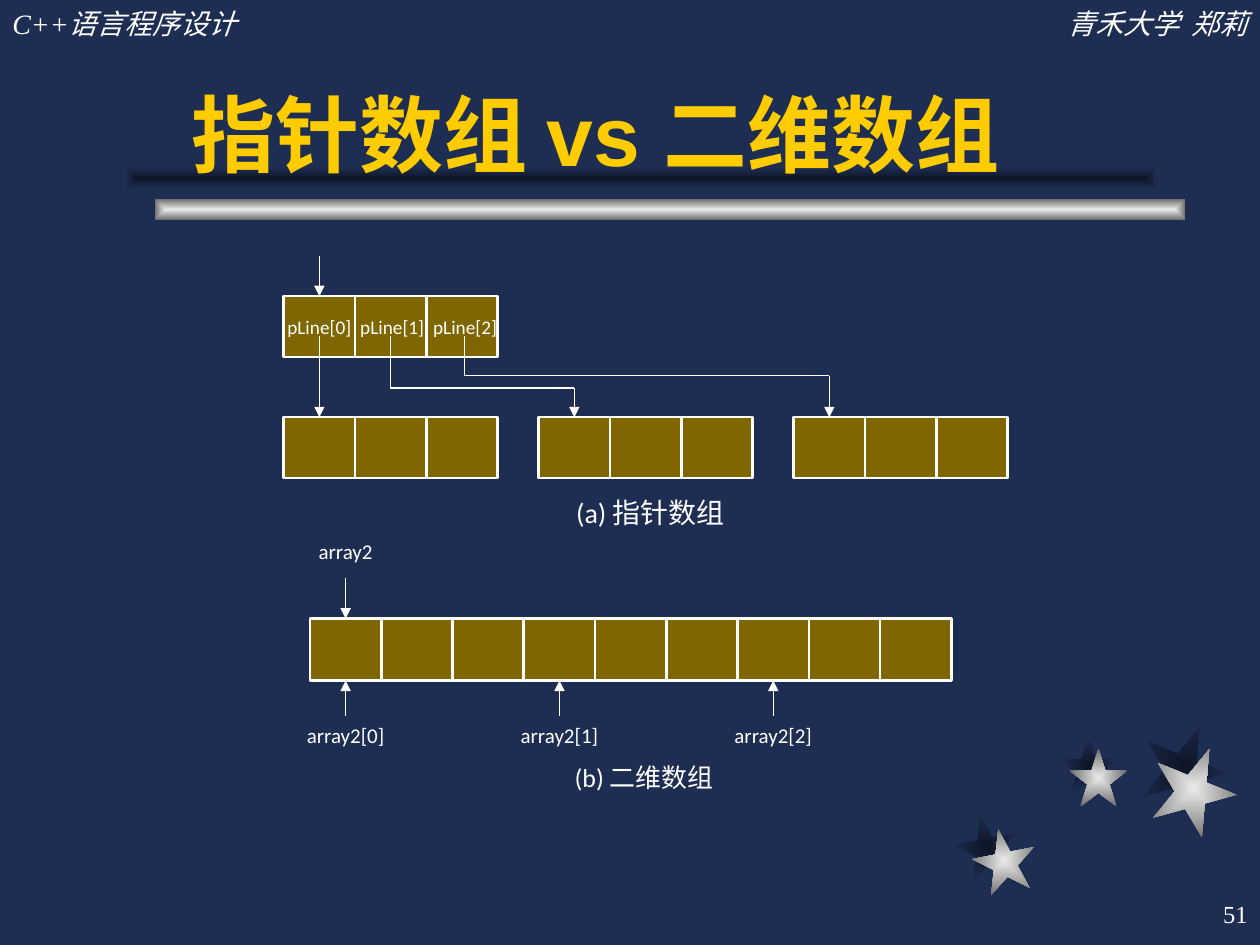
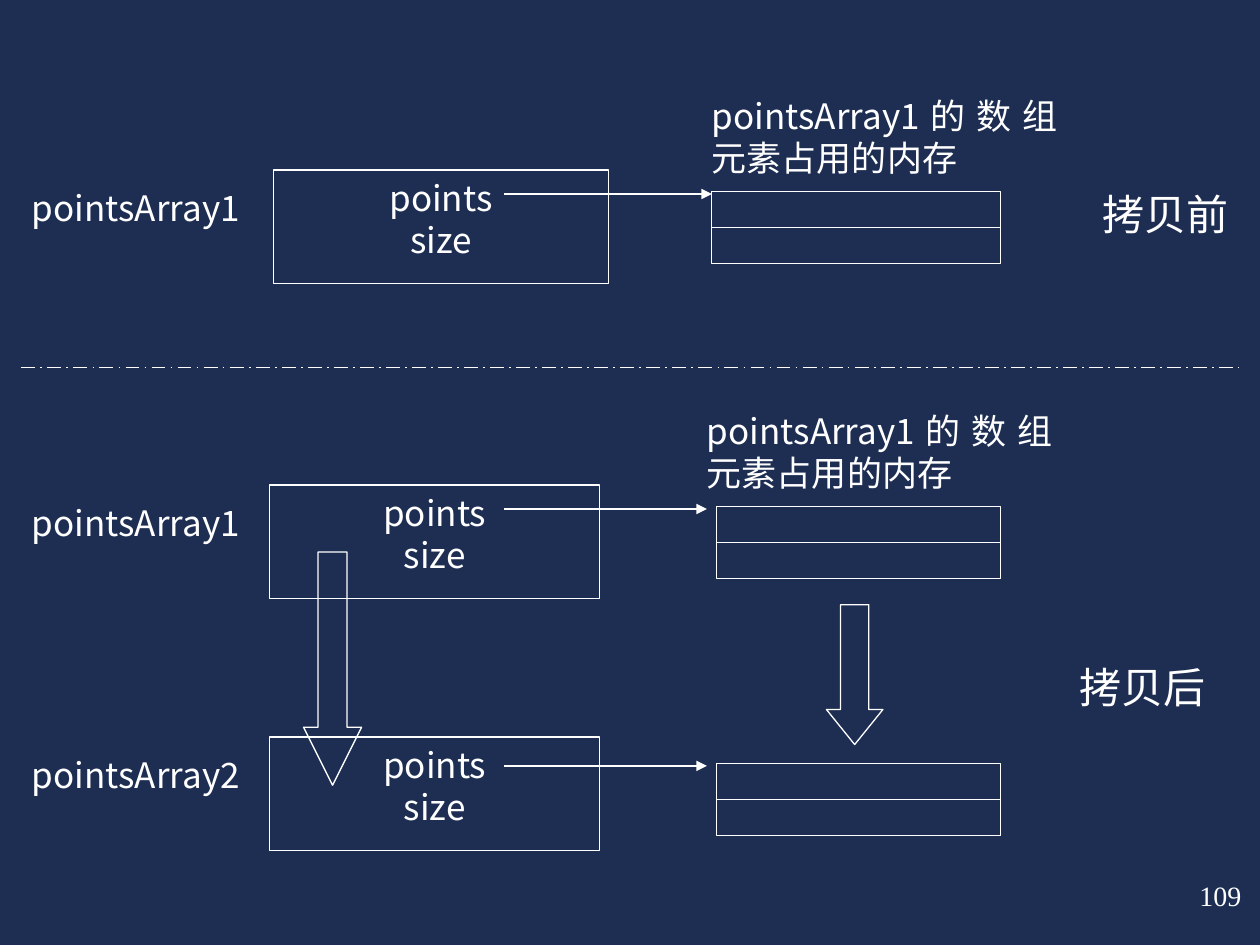
import collections
import lxml.etree
import pptx
import pptx.dml.color
import pptx.enum.dml
import pptx.enum.shapes
import pptx.enum.text
import pptx.oxml.ns
import pptx.util

Cm = pptx.util.Cm
qn = pptx.oxml.ns.qn
SHAPE = pptx.enum.shapes.MSO_SHAPE
ALIGN = pptx.enum.text.PP_ALIGN
ANCHOR = pptx.enum.text.MSO_ANCHOR
Box = collections.namedtuple("Box", "left top width height")

COLORS = {
    "background": "1E2E53",
    "shade": "0E1526",
    "silver": "EAEAEA",
    "steel": "6C6C6C",
    "title": "FFCC00",
    "white": "FFFFFF",
    "cell": "7F6600",
}
SERIF, SANS, LABEL, CHINESE = "Times New Roman", "Arial", "Calibri", "Noto Sans CJK SC"
SHADOW_GRADIENT = ("shade", "background")
METAL_GRADIENT = ("silver", "steel")
PADDING = (0.25, 0.13)


def color(name):
    return pptx.dml.color.RGBColor.from_string(COLORS[name])


def lengths(box):
    return [Cm(value) for value in box]


def write_text(shape, text, size=16, font=LABEL, ink="white", bold=False, italic=False,
               align=ALIGN.CENTER, anchor=ANCHOR.TOP, padding=PADDING, spacing=None):
    frame = shape.text_frame
    frame.word_wrap = True
    frame.vertical_anchor = anchor
    frame.margin_left = frame.margin_right = Cm(padding[0])
    frame.margin_top = frame.margin_bottom = Cm(padding[1])
    for index, line in enumerate(text.split("\n")):
        para = frame.paragraphs[0] if index == 0 else frame.add_paragraph()
        para.alignment = align
        para.line_spacing = spacing
        span = para.add_run()
        span.text = line
        span.font.size = pptx.util.Pt(size)
        span.font.name = font
        span.font.bold = bold
        span.font.italic = italic
        span.font.color.rgb = color(ink)
        east_asian = lxml.etree.SubElement(span.font._element, qn("a:ea"))
        east_asian.set("typeface", CHINESE)


def add_text(page, box, text, **style):
    write_text(page.shapes.add_textbox(*lengths(box)), text, **style)


def add_label(page, center, top, width, text, **style):
    add_text(page, Box(center - width / 2, top, width, 0.94), text, **style)


def add_shape(page, kind, box, fill=None, line=None):
    shape = page.shapes.add_shape(kind, *lengths(box))
    shape.shadow.inherit = False
    if fill:
        shape.fill.solid()
        shape.fill.fore_color.rgb = color(fill)
    else:
        shape.fill.background()
    if line:
        shape.line.color.rgb = color("white")
        shape.line.width = pptx.util.Pt(line)
    else:
        shape.line.fill.background()
    return shape


def add_glow(page, kind, box, gradient, rotation=0):
    shape = add_shape(page, kind, box)
    shape.rotation = rotation
    shape.fill.gradient()
    for stop, name in zip(shape.fill.gradient_stops, gradient):
        stop.color.rgb = color(name)
    fill = shape._element.spPr.find(qn("a:gradFill"))
    fill.remove(fill.find(qn("a:lin")))
    spread = lxml.etree.SubElement(fill, qn("a:path"))
    spread.set("path", "rect")
    center = lxml.etree.SubElement(spread, qn("a:fillToRect"))
    for side in "ltrb":
        center.set(side, "50000")


def add_line(page, start, end, arrow=False, width=0.75, dash=None):
    line = page.shapes.add_connector(
        pptx.enum.shapes.MSO_CONNECTOR.STRAIGHT, *lengths(start + end))
    line.line.color.rgb = color("white")
    line.line.width = pptx.util.Pt(width)
    if dash:
        line.line.dash_style = dash
    properties = line._element.spPr
    if arrow:
        head = lxml.etree.SubElement(properties.find(qn("a:ln")), qn("a:tailEnd"))
        head.set("type", "triangle")
    lxml.etree.SubElement(properties, qn("a:effectLst"))


def add_route(page, points):
    for index, (start, end) in enumerate(zip(points, points[1:]), 2):
        add_line(page, start, end, arrow=index == len(points))


def add_page(deck):
    page = deck.slides.add_slide(deck.slide_layouts[6])
    page.background.fill.solid()
    page.background.fill.fore_color.rgb = color("background")
    return page


def add_page_number(page, box, number, **style):
    add_text(page, box, number, font=SERIF, **style)


def draw_decoration(page):
    stars = [
        (19.25, 16.43, 1.27, 349, 0.36, 0.28),
        (21.36, 14.86, 1.17, 0, 0.2, 0.23),
        (23.01, 14.61, 1.7, 22, 0.2, 0.43),
    ]
    for gradient, shift in ((SHADOW_GRADIENT, 0), (METAL_GRADIENT, 1)):
        for left, top, size, rotation, right, down in stars:
            box = Box(left + right * shift, top + down * shift, size, size)
            add_glow(page, SHAPE.STAR_5_POINT, box, gradient, rotation)
    add_glow(page, SHAPE.RECTANGLE, Box(3.12, 4.01, 20.78, 0.43), METAL_GRADIENT)
    add_glow(page, SHAPE.RECTANGLE, Box(2.54, 3.38, 20.78, 0.43), SHADOW_GRADIENT)


def draw_header(page, title):
    for left, text, align in ((0, "C++语言程序设计", ALIGN.LEFT),
                              (17.58, "青禾大学  郑莉", ALIGN.RIGHT)):
        add_text(page, Box(left, 0, 7.82, 0.94), text, font=SERIF, italic=True, align=align)
    add_text(page, Box(3.61, 0.64, 19.89, 3.18), title, size=48, font=SANS, ink="title",
             bold=True, align=ALIGN.LEFT, anchor=ANCHOR.BOTTOM)


def draw_cells(page, box, count):
    width = box.width / count
    for index in range(count):
        cell = Box(box.left + index * width, box.top, width, box.height)
        add_shape(page, SHAPE.RECTANGLE, cell, fill="cell", line=1.5)


def draw_pointer_array(page, box):
    row_width, row_height = 4.31, 1.23
    middle = row_width / 6
    row_top, target_top = box.top + 0.81, box.top + 3.25
    draw_cells(page, Box(box.left, row_top, row_width, row_height), 3)
    entry = box.left + middle
    add_line(page, (entry, box.top), (entry, row_top), arrow=True)
    exit_top = box.top + 1.62
    for index, (start, bend) in enumerate(((middle, None), (2.15, 2.66), (3.65, 2.41))):
        target_left = box.left + index * 5.14
        draw_cells(page, Box(target_left, target_top, row_width, row_height), 3)
        start, end = box.left + start, target_left + middle
        points = [(start, exit_top), (end, target_top)]
        if bend:
            points[1:1] = [(start, box.top + bend), (end, box.top + bend)]
        add_route(page, points)
        add_label(page, entry + index * 1.47, box.top + 1.06, 2.13,
                  f"pLine[{index}]", size=11)
    add_label(page, box.left + 7.39, box.top + 4.7, 4.47, "(a) 指针数组")


def draw_matrix(page, box):
    cell_count, row_length = 9, 3
    cell_width = box.width / cell_count
    row_top, row_bottom, label_top = box.top + 1.75, box.top + 3, box.top + 3.71
    draw_cells(page, Box(box.left, row_top, box.width, row_bottom - row_top), cell_count)
    first = box.left + cell_width / 2
    add_label(page, first, box.top, 2.44, "array2", size=12)
    add_line(page, (first, box.top + 0.94), (first, row_top), arrow=True)
    for row in range(cell_count // row_length):
        center = first + row * row_length * cell_width
        add_line(page, (center, label_top), (center, row_bottom), arrow=True)
        add_label(page, center, label_top, 2.44, f"array2[{row}]", size=12)
    add_label(page, box.left + 6.73, box.top + 4.57, 4.47, "(b) 二维数组",
              size=14.8, spacing=0.9)


def draw_points_array(page, box, name, frame, tip, block_width, drop=0.48, caption=None):
    style = {"size": 20, "font": CHINESE}
    add_text(page, Box(box.left, box.top + 0.33, 4.74, 0.9), name,
             align=ALIGN.JUSTIFY, padding=(0, 0), **style)
    frame_left, frame_width = frame
    members = add_shape(page, SHAPE.RECTANGLE,
                        Box(box.left + frame_left, box.top, frame_width, box.height), line=0.75)
    write_text(members, "points\nsize", padding=(0, 0.13), **style)
    right, tip = box.left + box.width, box.left + tip
    block = Box(right - block_width, box.top + drop - 0.05, block_width, 1.45)
    add_shape(page, SHAPE.RECTANGLE, block, line=0.75)
    middle = block.top + block.height / 2
    add_line(page, (block.left, middle), (right, middle))
    add_line(page, (box.left + 9.53, box.top + drop), (tip, box.top + drop), arrow=True)
    if caption:
        add_text(page, Box(tip, box.top - 1.52, 6.97, 1.85), caption,
                 align=ALIGN.JUSTIFY, padding=(0, 0), **style)


def draw_copy_arrow(page, box, head):
    arrow = add_shape(page, SHAPE.DOWN_ARROW, box, line=0.75)
    arrow.adjustments[0] = 0.5
    arrow.adjustments[1] = head


def draw_stage(page, box, text):
    add_text(page, box, text, size=24, font=SERIF, padding=(0.25, 0))


def build_array_comparison(deck):
    page = add_page(deck)
    draw_decoration(page)
    draw_header(page, "指针数组 vs 二维数组")
    add_page_number(page, Box(20.12, 17.78, 5.28, 1.27), "51", size=14,
                    align=ALIGN.RIGHT, anchor=ANCHOR.MIDDLE)
    draw_pointer_array(page, Box(5.72, 5.16, 14.59, 5.64))
    draw_matrix(page, Box(6.25, 10.72, 12.93, 5.51))


def build_deep_copy(deck):
    page = add_page(deck)
    caption = "pointsArray1的数组元素占用的内存"
    before = {"frame": (4.87, 6.76), "tip": 13.71, "block_width": 5.82}
    after = {"frame": (4.8, 6.65), "tip": 13.61, "block_width": 5.72}
    rows = [
        (3.43, "pointsArray1", before, {"caption": caption}),
        (9.78, "pointsArray1", after, {"caption": caption}),
        (14.86, "pointsArray2", after, {"drop": 0.58}),
    ]
    for top, name, layout, extra in rows:
        draw_points_array(page, Box(0.64, top, 19.53, 2.29), name, **layout, **extra)
    draw_copy_arrow(page, Box(16.66, 12.19, 1.14, 2.82), 0.62)
    draw_copy_arrow(page, Box(6.12, 11.13, 1.17, 4.7), 1)
    draw_stage(page, Box(21.59, 3.81, 3.81, 1.02), "拷贝前")
    draw_stage(page, Box(21.16, 13.34, 3.76, 1.02), "拷贝后")
    add_line(page, (0.43, 7.41), (24.97, 7.41), width=1,
             dash=pptx.enum.dml.MSO_LINE.LONG_DASH_DOT)
    add_page_number(page, Box(23.93, 17.58, 1.47, 0.94), "109", align=ALIGN.LEFT)


def main():
    deck = pptx.Presentation()
    deck.slide_width, deck.slide_height = Cm(25.4), Cm(19.05)
    build_array_comparison(deck)
    build_deep_copy(deck)
    deck.save("out.pptx")


if __name__ == "__main__":
    main()
